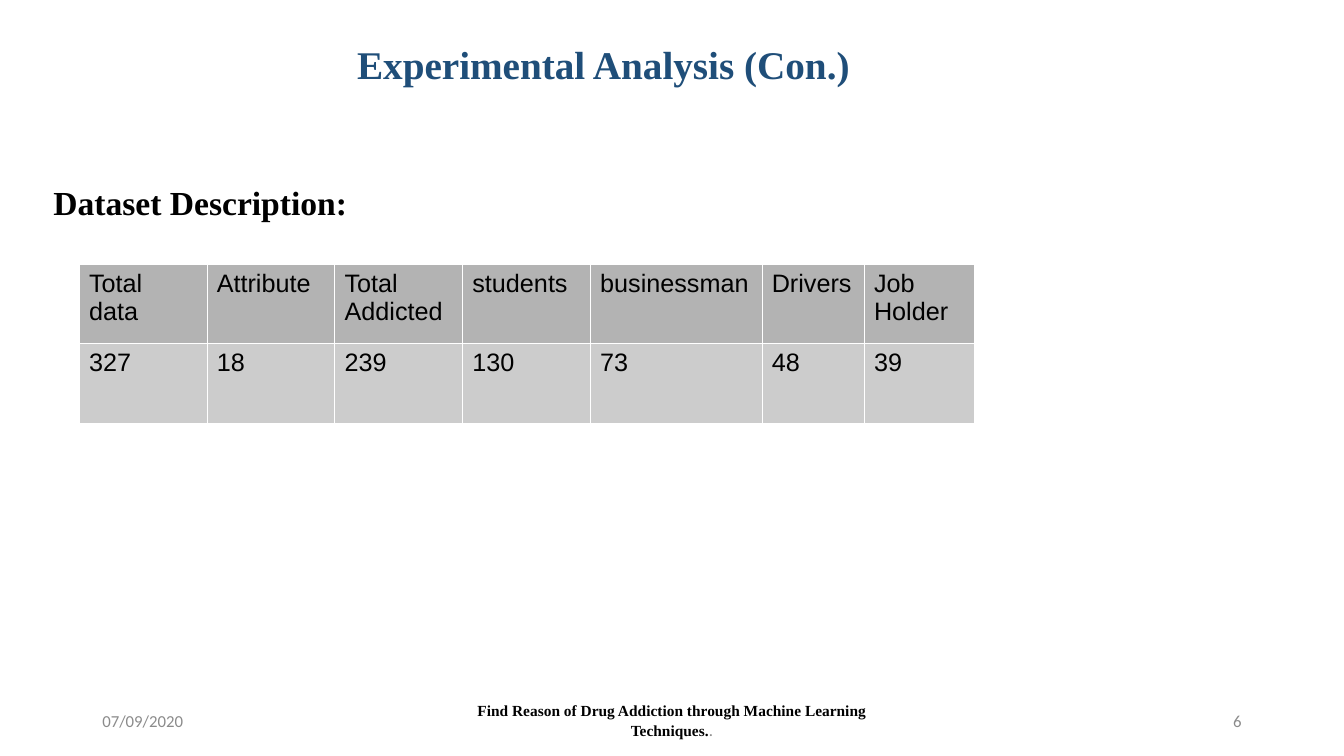
from lxml.etree import SubElement
from pptx import Presentation
from pptx.dml.color import RGBColor
from pptx.enum.text import MSO_ANCHOR as Anchor, PP_ALIGN as Align
from pptx.oxml.ns import qn
from pptx.util import Pt

COLORS = {
    "title": "1F4E79",
    "text": "000000",
    "muted": "8B8B8B",
    "header": "B3B3B3",
    "body": "CCCCCC",
    "border": "FFFFFF",
}
SERIF, SANS, FOOTER = "Times New Roman", "Arial", "Calibri"

DATASET = [
    ("Total data", "Attribute", "Total Addicted", "students",
     "businessman", "Drivers", "Job Holder"),
    ("327", "18", "239", "130", "73", "48", "39"),
]
COLUMN_WIDTHS = [91.3] * 4 + [122.6, 73, 78.9]
ROW_HEIGHT = 56.6
FOOTER_TOP, FOOTER_HEIGHT = 500.5, 28.75


def color(name):
    return RGBColor.from_string(COLORS[name])


def write(paragraph, text, font=FOOTER, size=12, fill="muted", bold=False,
          align=Align.LEFT, before=0):
    """Append formatted text to a paragraph."""
    paragraph.alignment = align
    paragraph.space_before = Pt(before)
    run = paragraph.add_run()
    run.text = text
    run.font.name = font
    run.font.size = Pt(size)
    run.font.bold = bold
    run.font.color.rgb = color(fill)


def add_frame(slide, left, top, width, height, anchor=Anchor.TOP):
    frame = slide.shapes.add_textbox(
        Pt(left), Pt(top), Pt(width), Pt(height)).text_frame
    frame.word_wrap = True
    frame.vertical_anchor = anchor
    return frame


def add_footer(slide, left, width):
    frame = add_frame(slide, left, FOOTER_TOP, width, FOOTER_HEIGHT,
                      Anchor.MIDDLE)
    return frame.paragraphs[0]


def add_borders(cell, width=0.06):
    properties = cell._tc.get_or_add_tcPr()
    for position, side in enumerate(("lnL", "lnR", "lnT", "lnB")):
        line = SubElement(properties, qn(f"a:{side}"), w=str(Pt(width)))
        fill = SubElement(line, qn("a:solidFill"))
        SubElement(fill, qn("a:srgbClr"), val=COLORS["border"])
        properties.insert(position, line)


def add_dataset_table(slide, left, top):
    table = slide.shapes.add_table(
        len(DATASET), len(COLUMN_WIDTHS), Pt(left), Pt(top),
        Pt(sum(COLUMN_WIDTHS)), Pt(ROW_HEIGHT * len(DATASET))).table
    for column, width in zip(table.columns, COLUMN_WIDTHS):
        column.width = Pt(width)
    for row, values, shade in zip(table.rows, DATASET, ("header", "body")):
        row.height = Pt(ROW_HEIGHT)
        for cell, value in zip(row.cells, values):
            cell.fill.solid()
            cell.fill.fore_color.rgb = color(shade)
            add_borders(cell)
            write(cell.text_frame.paragraphs[0], value,
                  font=SANS, size=18, fill="text")


def main():
    deck = Presentation()
    deck.slide_width, deck.slide_height = Pt(960), Pt(540)
    slide = deck.slides.add_slide(deck.slide_layouts[6])

    # Date and page number
    write(add_footer(slide, 66, 216), "07/09/2020")
    write(add_footer(slide, 678, 216), "6", align=Align.RIGHT)

    # Title and section heading
    content = add_frame(slide, 31, 21.6, 800, 439)
    content.margin_top = Pt(7)
    write(content.paragraphs[0], "Experimental Analysis (Con.)", font=SERIF,
          size=28, fill="title", bold=True, align=Align.CENTER)
    write(content.add_paragraph(), "Dataset Description:", font=SERIF,
          size=24, fill="text", bold=True, align=Align.JUSTIFY, before=68)

    # Footer text
    topic = add_footer(slide, 318, 324)
    write(topic, "Find Reason of Drug Addiction through Machine Learning "
          "Techniques.", font=SERIF, size=11, fill="text", bold=True)
    write(topic, ".", align=Align.CENTER)

    # Dataset table
    add_dataset_table(slide, 56.4, 188.8)

    deck.save("out.pptx")


if __name__ == "__main__":
    main()
